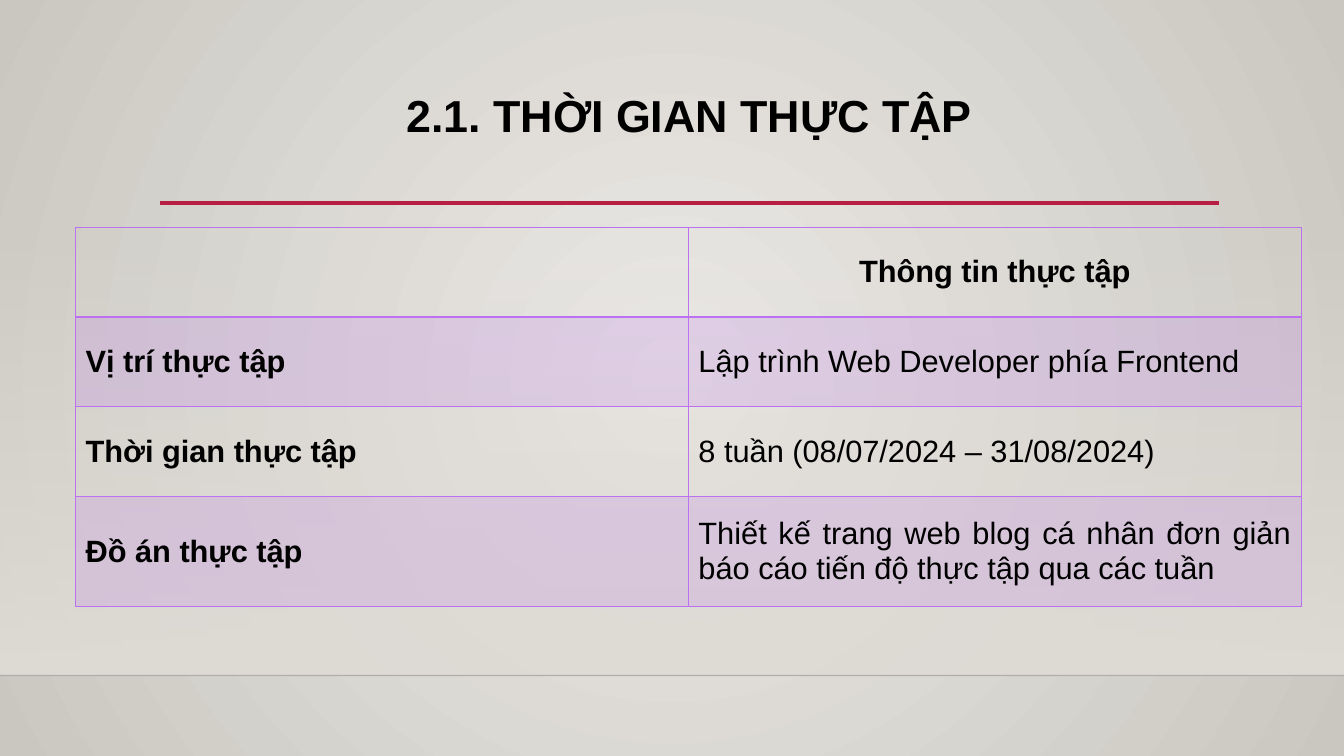
from lxml import etree
from pptx import Presentation
from pptx.dml.color import RGBColor
from pptx.enum import shapes, text
from pptx.oxml import ns
from pptx.util import Pt

COLORS = {"ink": "000000", "crimson": "B71E42", "purple": "BC72F0", "sand": "DFDBD5",
          "glow": "ECEAE7", "edge": "CAC7C1", "floor": "000001"}
ROWS = [("", "Thông tin thực tập"),
        ("Vị trí thực tập", "Lập trình Web Developer phía Frontend"),
        ("Thời gian thực tập", "8 tuần (08/07/2024 – 31/08/2024)"),
        ("Đồ án thực tập", "Thiết kế trang web blog cá nhân đơn giản "
                           "báo cáo tiến độ thực tập qua các tuần")]
ROW_HEIGHTS = [64, 64, 64, 79]


def rgb(name):
    return RGBColor.from_string(COLORS[name])


def add_child(parent, tag, **attributes):
    return etree.SubElement(parent, ns.qn(tag), **attributes)


def set_alpha(element, percent):
    """Set the opacity of the first plain colour inside an element."""
    color = next(element.iter(ns.qn("a:srgbClr")))
    add_child(color, "a:alpha", val=str(percent * 1000))


def write(frame, words, size=22, bold=False, align=text.PP_ALIGN.JUSTIFY, spacing=None):
    para = frame.paragraphs[0]
    para.alignment = align
    para.line_spacing = spacing
    span = para.add_run()
    span.text = words
    span.font.name = "Arial"
    span.font.size = Pt(size)
    span.font.bold = bold
    span.font.color.rgb = rgb("ink")


def set_gradient(fill, first, last):
    fill.gradient()
    for stop, name in zip(fill.gradient_stops, (first, last)):
        stop.color.rgb = rgb(name)


def add_rule(page, left, top, width, color, weight, alpha=100):
    rule = page.shapes.add_connector(shapes.MSO_CONNECTOR.STRAIGHT, Pt(left), Pt(top),
                                     Pt(left + width), Pt(top))
    rule.line.color.rgb = rgb(color)
    rule.line.width = Pt(weight)
    if alpha < 100:
        set_alpha(rule.line._ln, alpha)
    add_child(rule._element.spPr, "a:effectLst")


def add_backdrop(page, left, top, width, height):
    # Radial background
    set_gradient(page.background.fill, "glow", "edge")
    gradient = next(page._element.iter(ns.qn("a:gradFill")))
    gradient.remove(gradient.find(ns.qn("a:lin")))
    circle = add_child(gradient, "a:path", path="circle")
    add_child(circle, "a:fillToRect", l="50000", t="50000", r="50000", b="50000")
    # Wall fading in towards the floor line
    wall = page.shapes.add_shape(shapes.MSO_SHAPE.RECTANGLE, Pt(left), Pt(top),
                                 Pt(width), Pt(height))
    wall.shadow.inherit = False
    wall.line.fill.background()
    set_gradient(wall.fill, "sand", "sand")
    wall.fill.gradient_angle = 270
    set_alpha(wall._element.spPr, 0)
    add_rule(page, left, top + height, width, "floor", 1, alpha=20)


def add_heading(page, words, left, top, width, height):
    title = page.shapes.title
    title.left, title.top, title.width, title.height = map(Pt, (left, top, width, height))
    title.text_frame.word_wrap = True
    title.text_frame.vertical_anchor = text.MSO_ANCHOR.TOP
    write(title.text_frame, words, size=32, bold=True,
          align=text.PP_ALIGN.CENTER, spacing=0.9)
    add_rule(page, left, top + height - 1, width, "crimson", 2.5)


def set_borders(cell, weights):
    """Draw the cell's sides; weights go by side: L, R, T, B."""
    properties = cell._tc.get_or_add_tcPr()
    for side, weight in weights.items():
        border = add_child(properties, f"a:ln{side}", w=str(Pt(weight)))
        fill = add_child(border, "a:solidFill")
        add_child(fill, "a:srgbClr", val=COLORS["purple"])


def add_internship_table(page, left, top, width):
    frame = page.shapes.add_table(len(ROWS), 2, Pt(left), Pt(top), Pt(width),
                                  Pt(sum(ROW_HEIGHTS)))
    table = frame.table
    table.horz_banding = False
    for column in table.columns:
        column.width = Pt(width / 2)
    for r, (words, height) in enumerate(zip(ROWS, ROW_HEIGHTS)):
        table.rows[r].height = Pt(height)
        for c, phrase in enumerate(words):
            cell = table.cell(r, c)
            cell.vertical_anchor = text.MSO_ANCHOR.MIDDLE
            set_borders(cell, {"L": 1, "R": 1, "T": 2 if r == 1 else 1,
                               "B": 2 if r == 0 else 1})
            # Every second row is tinted
            if r % 2:
                cell.fill.solid()
                cell.fill.fore_color.rgb = rgb("purple")
                set_alpha(cell._tc.tcPr.find(ns.qn("a:solidFill")), 20)
            else:
                cell.fill.background()
            if phrase:
                write(cell.text_frame, phrase, bold=r == 0 or c == 0,
                      align=text.PP_ALIGN.JUSTIFY if r else text.PP_ALIGN.CENTER)


def main():
    deck = Presentation()
    deck.slide_width, deck.slide_height = Pt(960), Pt(540)
    page = deck.slides.add_slide(deck.slide_layouts[5])
    add_backdrop(page, 0, 159, 960, 323.5)
    add_heading(page, "2.1. THỜI GIAN THỰC TẬP", 114.5, 63.5, 756, 82.5)
    add_internship_table(page, 54, 162.5, 875.5)
    deck.save("out.pptx")


if __name__ == "__main__":
    main()
